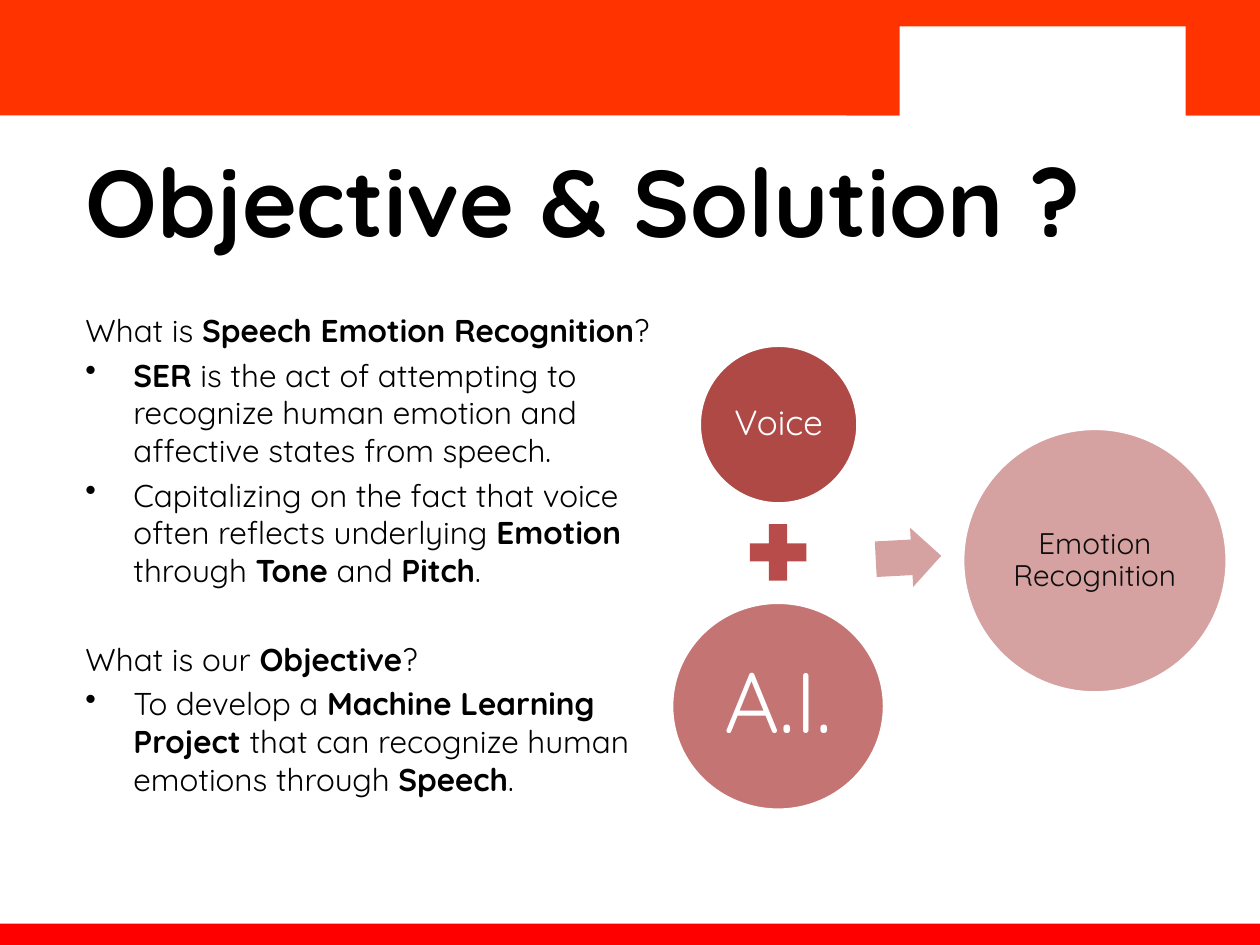
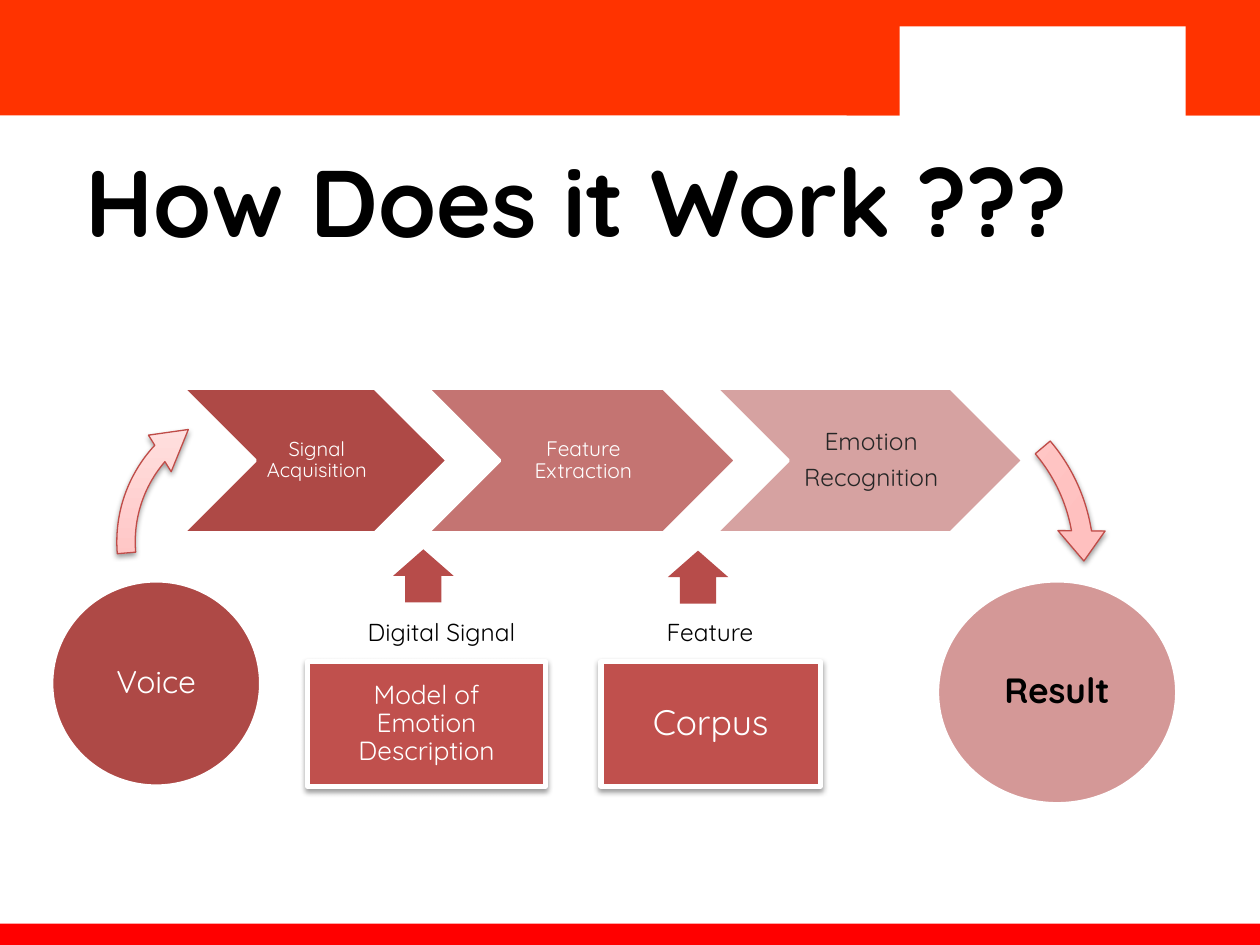
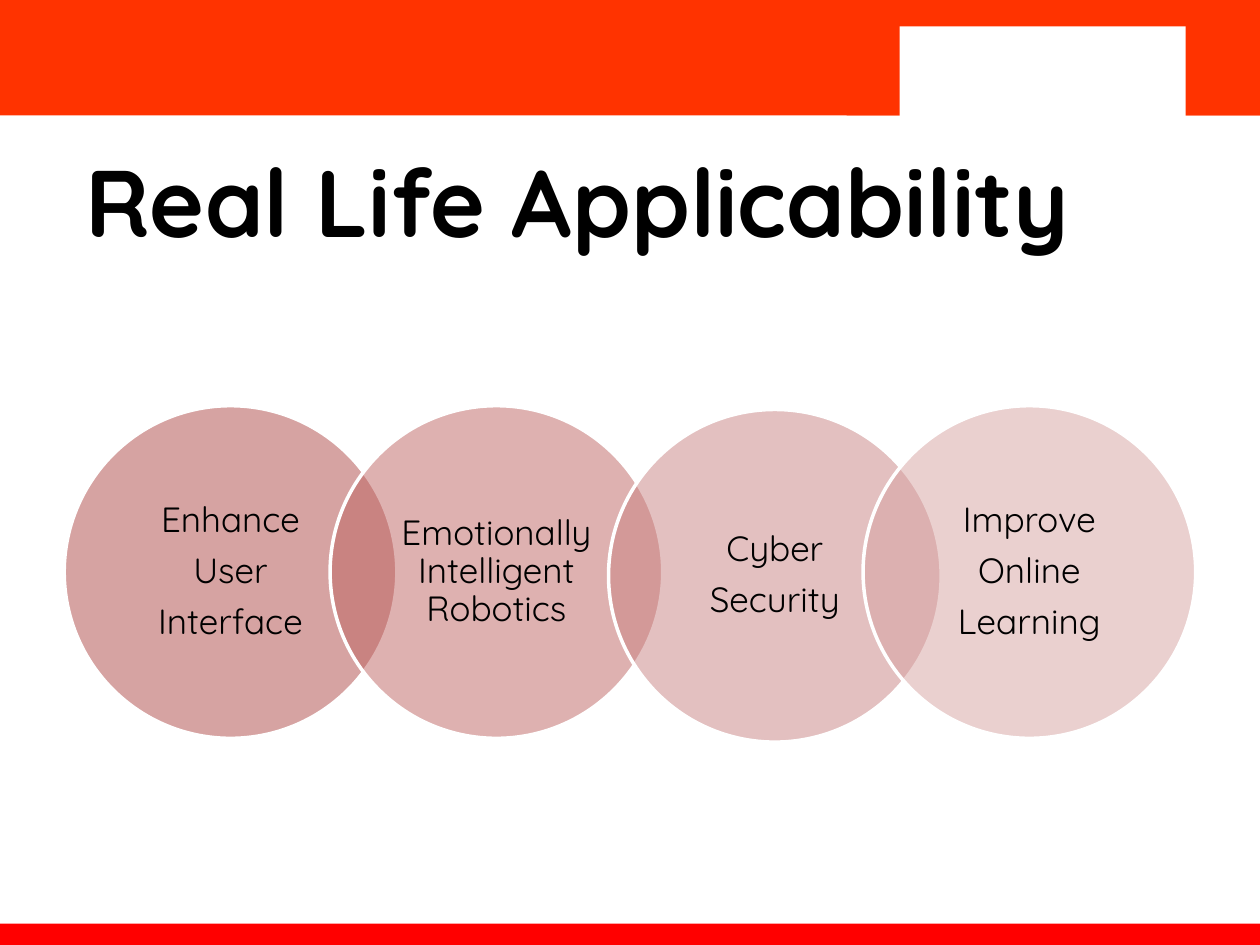
from dataclasses import dataclass

from lxml import etree
from pptx import Presentation, util as u
from pptx.dml.color import RGBColor
from pptx.enum import shapes as s, text as t
from pptx.oxml import ns

COLUMNS, ROWS = 100, 75
CELL = u.Inches(0.1)


@dataclass(frozen=True)
class Theme:
    """Colours, font and type sizes of the deck."""
    font: str = "Quicksand"
    band: str = "FF3300"
    footer: str = "FF0000"
    white: str = "FFFFFF"
    ink: str = "000000"
    soft_ink: str = "0D0D0D"
    grey_ink: str = "262626"
    deep: str = "AE4946"
    sign: str = "B74C4A"
    brick: str = "C0504D"
    edge: str = "BF4C48"
    middle: str = "C47472"
    result: str = "D49897"
    pale: str = "D6A2A1"
    overlap: tuple = ("AE4946", "BE6462", "C98382", "D6A2A1")
    sheen: tuple = ((0, "FFA6A5"), (35, "FFC0BF"), (100, "FFE7E7"))
    title_size: float = 54
    body_size: float = 18
    label_size: float = 14
    circle_size: float = 20
    tight: float = 0.9
    body_gap: float = 0.21
    label_gap: float = 0.37


THEME = Theme()


@dataclass(frozen=True)
class Box:
    """A rectangle measured in grid columns and rows."""
    left: float
    top: float
    width: float
    height: float

    def area(self, left, top, width, height):
        """Return a box placed from this one's top left corner."""
        return Box(self.left + left, self.top + top, width, height)

    def emu(self):
        """Return the four lengths in slide units."""
        return [round(v * CELL) for v in (self.left, self.top, self.width, self.height)]


PAGE = Box(0, 0, COLUMNS, ROWS)


def rgb(code):
    """Turn a hex code into a colour."""
    return RGBColor.from_string(code)


def add_child(parent, tag, **attributes):
    """Append a DrawingML element with the given attributes."""
    child = etree.SubElement(parent, ns.qn(f"a:{tag}"))
    for key, value in attributes.items():
        child.set(key, str(value))
    return child


def add_run(paragraph, words, size, color=THEME.ink, bold=False):
    """Add one styled run."""
    run = paragraph.add_run()
    run.text = words
    run.font.name, run.font.size, run.font.bold = THEME.font, u.Pt(size), bold
    run.font.color.rgb = rgb(color)


def set_margins(holder, left, top, right=None, bottom=None):
    """Set inner margins in inches, mirrored where not given."""
    holder.margin_left, holder.margin_top = u.Inches(left), u.Inches(top)
    holder.margin_right = u.Inches(left if right is None else right)
    holder.margin_bottom = u.Inches(top if bottom is None else bottom)


def add_figure(slide, preset, box, fill, line=None, weight=2, turn=0, adjust=()):
    """Draw a preset shape with a flat fill and an optional outline."""
    figure = slide.shapes.add_shape(preset, *box.emu())
    figure.shadow.inherit = False
    figure.rotation = turn
    for index, value in enumerate(adjust):
        figure.adjustments[index] = value
    figure.fill.solid()
    figure.fill.fore_color.rgb = rgb(fill)
    if line:
        figure.line.color.rgb = rgb(line)
        figure.line.width = u.Pt(weight)
    else:
        figure.line.fill.background()
    return figure


def add_label(figure, lines, size, color, margins, bold=False):
    """Centre lines of text inside a shape."""
    frame = figure.text_frame
    frame.word_wrap = True
    frame.vertical_anchor = t.MSO_ANCHOR.MIDDLE
    set_margins(frame, *margins)
    for index, words in enumerate(lines):
        paragraph = frame.add_paragraph() if index else frame.paragraphs[0]
        paragraph.alignment = t.PP_ALIGN.CENTER
        paragraph.line_spacing = THEME.tight
        if index:
            paragraph.space_before = u.Pt(round(size * THEME.label_gap, 1))
        add_run(paragraph, words, size, color, bold)


def add_disc(slide, box, fill, lines, size, color=THEME.white, margins=(0.03, 0.03), bold=False):
    """Draw a labelled circle with a white rim."""
    disc = add_figure(slide, s.MSO_SHAPE.OVAL, box, fill, THEME.white)
    add_label(disc, lines, size, color, margins, bold)
    return disc


def cast_shadow(figure):
    """Give a shape a soft shadow below it."""
    effects = figure.element.spPr.find(ns.qn("a:effectLst"))
    shade = add_child(effects, "outerShdw", blurRad=40000, dist=20000, dir=5400000, rotWithShape=0)
    add_child(add_child(shade, "srgbClr", val=THEME.ink), "alpha", val=38000)


def add_sheen(figure):
    """Fill a shape with the three-stop upward gradient."""
    figure.fill.gradient()
    figure.fill.gradient_angle = 90
    stops = figure.element.spPr.find(".//" + ns.qn("a:gsLst"))
    for old in list(stops):
        stops.remove(old)
    for share, color in THEME.sheen:
        add_child(add_child(stops, "gs", pos=share * 1000), "srgbClr", val=color)


def add_frame(deck, title):
    """Start a slide with its bands and title."""
    slide = deck.slides.add_slide(deck.slide_layouts[6])
    bands = ((PAGE.area(0, 0, COLUMNS, 9.17), THEME.band),
             (PAGE.area(0, 73.3, COLUMNS, 1.7), THEME.footer),
             (PAGE.area(67.2, 0, 32.8, 9.17), THEME.band),
             (PAGE.area(71.4, 2.1, 22.7, 7.5), THEME.white))
    for box, color in bands:
        add_figure(slide, s.MSO_SHAPE.RECTANGLE, box, color)
    frame = slide.shapes.add_textbox(*PAGE.area(5.8, 9.2, 94.2, 13.3).emu()).text_frame
    frame.word_wrap = True
    frame.vertical_anchor = t.MSO_ANCHOR.MIDDLE
    add_run(frame.paragraphs[0], title, THEME.title_size, bold=True)
    return slide


def add_questions(slide, box, sections):
    """Write headings with bullets; every second piece is bold."""
    frame = slide.shapes.add_textbox(*box.emu()).text_frame
    frame.word_wrap = True
    gap = THEME.body_size * THEME.body_gap
    for order, section in enumerate(sections):
        for index, pieces in enumerate(section):
            first = order == index == 0
            paragraph = frame.paragraphs[0] if first else frame.add_paragraph()
            if index:
                props = paragraph._p.get_or_add_pPr()
                props.set("marL", str(u.Inches(0.38)))
                props.set("indent", str(-u.Inches(0.38)))
                add_child(props, "buChar", char="•")
            if not first:
                paragraph.space_before = u.Pt(round(gap if index else 2 * gap + 21.4, 1))
            for place, words in enumerate(pieces):
                if words:
                    add_run(paragraph, words, THEME.body_size, bold=place % 2 == 1)


def add_equation(slide, box):
    """Draw voice plus A.I. leading to emotion recognition."""
    add_disc(slide, box.area(2.2, 0, 12.6, 12.6), THEME.deep, ["Voice"], 20)
    add_figure(slide, s.MSO_SHAPE.MATH_PLUS, box.area(5.4, 13.4, 6.1, 6.1), THEME.sign)
    add_disc(slide, box.area(0, 20.4, 16.9, 16.5), THEME.middle, ["A.I."], 49, margins=(0.07, 0.07))
    add_figure(slide, s.MSO_SHAPE.RIGHT_ARROW, box.area(16.2, 14.5, 5.2, 4.7), THEME.pale,
               turn=357, adjust=(0.6, 0.5))
    add_disc(slide, box.area(23.1, 6.6, 21, 21), THEME.pale, ["Emotion Recognition"], 17,
             THEME.soft_ink, (0.02, 0.02))


def add_stages(slide, box):
    """Draw the row of chevrons."""
    stages = ((0, 21, THEME.deep, ["Signal Acquisition"], 11.5, THEME.white),
              (19.4, 24.5, THEME.middle, ["Feature Extraction"], 12, THEME.white),
              (42.3, 24.4, THEME.pale, ["Emotion", "Recognition"], 14, THEME.grey_ink))
    for left, width, fill, lines, size, color in stages:
        stage = add_figure(slide, s.MSO_SHAPE.CHEVRON, box.area(left, 0, width, box.height),
                           fill, THEME.white)
        add_label(stage, lines, size, color, (0.05, 0.02, 0.02, 0.02))


def add_inputs(slide, box):
    """Draw the arrows, their captions and the two source cards."""
    for left, top in ((28.9, 0.1), (7.1, 0)):
        add_figure(slide, s.MSO_SHAPE.RIGHT_ARROW, box.area(left, top, 4.2, 4.8), THEME.sign,
                   turn=270, adjust=(0.6, 0.5))
    captions = slide.shapes.add_table(1, 2, *box.area(0.4, 5.3, 41, 3).emu()).table
    captions.first_row = captions.horz_banding = False
    for cell, words, left in zip(captions.iter_cells(), ("Digital Signal", "Feature"), (0.07, 0.23)):
        cell.fill.background()
        set_margins(cell, left, 0.04, 0.07)
        paragraph = cell.text_frame.paragraphs[0]
        paragraph.alignment = t.PP_ALIGN.CENTER
        add_run(paragraph, words, THEME.label_size)
    cards = ((0, 18.9, "Model of Emotion Description", 15), (23.3, 17.4, "Corpus", 20.2))
    for left, width, words, size in cards:
        card = add_figure(slide, s.MSO_SHAPE.RECTANGLE, box.area(left, 9.2, width, 9.9),
                          THEME.brick, THEME.white, 3)
        cast_shadow(card)
        add_label(card, [words], size, THEME.white, (0.16, 0.16))


def add_turns(slide, box):
    """Draw the curved arrows into and out of the stages."""
    turns = ((box.area(0, 2, 24.4, 24.4), 0, (0.06, 9.72, 133.14, 105.08, 0.07)),
             (box.area(48.4, 0, 31.2, 31.2), 308.6, (0.05, 6.03, 25.13, 6.63, 0.06)))
    for place, turn, adjust in turns:
        arrow = add_figure(slide, s.MSO_SHAPE.CIRCULAR_ARROW, place, THEME.pale, THEME.edge,
                           0.75, turn, adjust)
        add_sheen(arrow)
        cast_shadow(arrow)


def add_uses(slide, box):
    """Draw the chain of half-transparent circles."""
    uses = ((0, 0, ["Enhance", "User", "Interface"]),
            (21.1, 0, ["Emotionally Intelligent Robotics"]),
            (43.2, 0.3, ["Cyber", "Security"]),
            (63.4, 0, ["Improve", "Online", "Learning"]))
    for (left, drop, lines), fill in zip(uses, THEME.overlap):
        disc = add_disc(slide, box.area(left, drop, box.height, box.height), fill, lines,
                        THEME.circle_size, THEME.ink, (0.15, 0.03))
        tint = disc.element.spPr.find(ns.qn("a:solidFill"))[0]
        add_child(tint, "alpha", val=50000)


def build_objective(deck):
    """Build the objective slide."""
    slide = add_frame(deck, "Objective & Solution ?")
    add_questions(slide, PAGE.area(5.8, 24.2, 47.5, 40.8), (
        (("What is ", "Speech Emotion Recognition", "?"),
         ("", "SER", " is the act of attempting to recognize human emotion and affective states"
          " from speech."),
         ("Capitalizing on the fact that voice often reflects underlying ", "Emotion",
          " through ", "Tone", " and ", "Pitch", ".")),
        (("What is our ", "Objective", "?"),
         ("To develop a ", "Machine Learning Project ",
          "that can recognize human emotions through ", "Speech", "."))))
    add_equation(slide, PAGE.area(53.3, 27.4, 44.1, 36.9))


def build_process(deck):
    """Build the process slide."""
    slide = add_frame(deck, "How Does it Work ???")
    add_stages(slide, PAGE.area(14.5, 30.8, 66.7, 11.5))
    add_disc(slide, PAGE.area(4.1, 46.1, 16.6, 16.3), THEME.deep, ["Voice"], 18)
    add_disc(slide, PAGE.area(74.4, 46.1, 19, 17.7), THEME.result, ["Result"], 20,
             THEME.ink, bold=True)
    add_inputs(slide, PAGE.area(24.4, 43.3, 41.4, 19.1))
    add_turns(slide, PAGE.area(8.3, 28.8, 79.6, 31.2))


def build_applications(deck):
    """Build the applications slide."""
    slide = add_frame(deck, "Real Life Applicability")
    add_uses(slide, PAGE.area(5.1, 32.2, 89.8, 26.4))


def main():
    """Build and save the deck."""
    deck = Presentation()
    deck.slide_width, deck.slide_height = COLUMNS * CELL, ROWS * CELL
    for build in (build_objective, build_process, build_applications):
        build(deck)
    deck.save("out.pptx")


if __name__ == "__main__":
    main()
